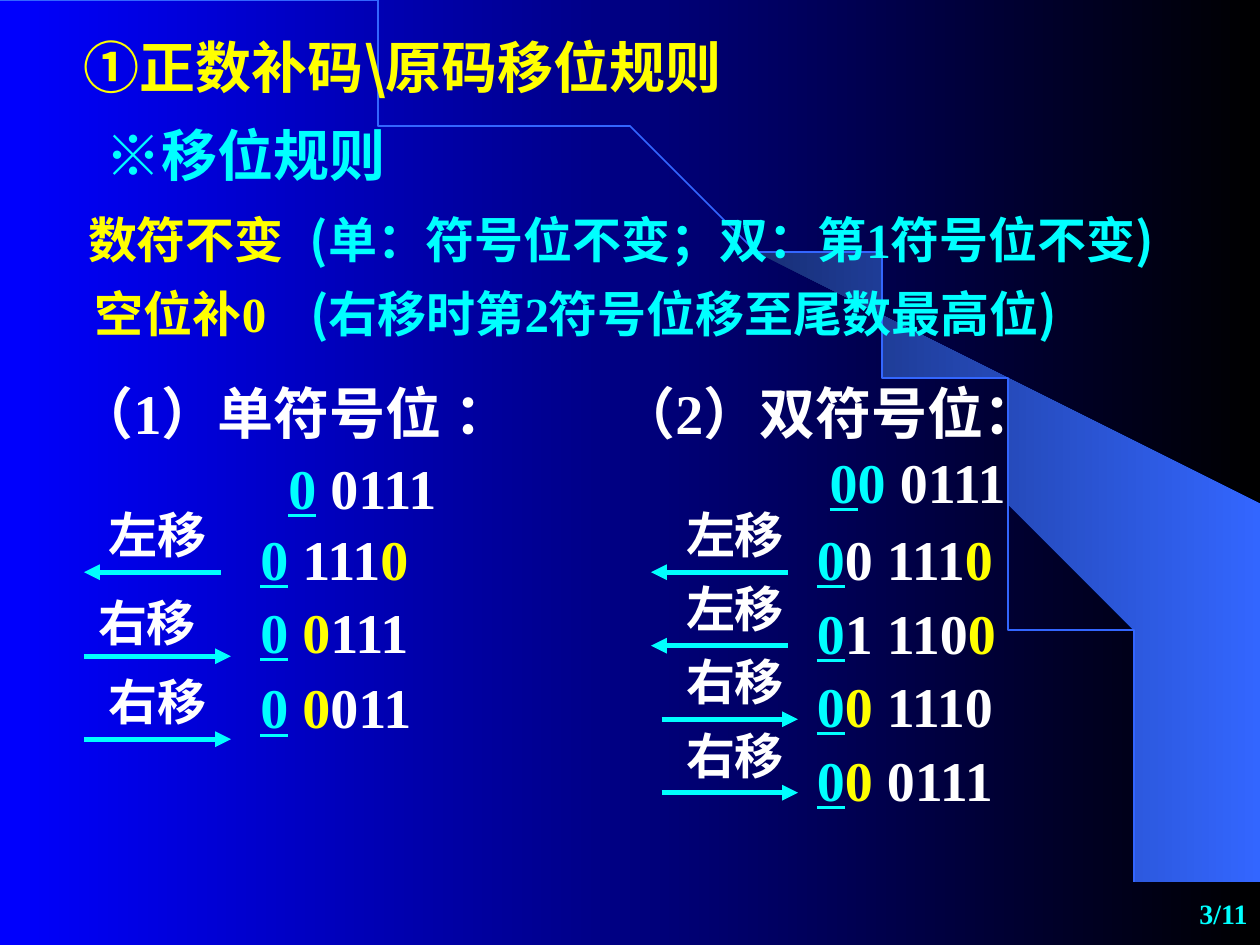
import typing

import pptx
import pptx.dml.color
import pptx.enum.shapes
import pptx.enum.text
import pptx.oxml.ns
import pptx.util
import lxml.etree

ALIGN = pptx.enum.text.PP_ALIGN
COLUMNS, ROWS = 120, 90
CELL = pptx.util.Inches(10) / COLUMNS
TEXT_ROWS, LABEL_ROWS, ROW_STEP = 7.7, 6.85, 7


class Theme:
    """Colours, typefaces and type sizes of the slide."""
    white, cyan, yellow = "FFFFFF", "00FFFF", "FFFF00"
    blue, black, dark, bright = "0000FF", "000000", "182F76", "3366FF"
    latin, chinese = "Times New Roman", "Noto Sans CJK SC"
    large, medium, small = 32, 28, 16
    arrow, arc = 3, 1


class Span(typing.NamedTuple):
    """A stretch of text with whatever differs from its paragraph."""
    text: str
    color: str = None
    underline: bool = None
    face: str = None


def grid(*cells):
    """Convert grid cells to lengths."""
    return [pptx.util.Emu(round(cell * CELL)) for cell in cells]


def rgb(color):
    """Turn a hexadecimal string into a colour."""
    return pptx.dml.color.RGBColor.from_string(color)


def fill_gradient(fill, first, last):
    """Fill with a left-to-right gradient."""
    fill.gradient()
    fill.gradient_angle = 0
    for stop, color, position in zip(fill.gradient_stops, (first, last), (0, 1)):
        stop.color.rgb = rgb(color)
        stop.position = position


def add_text(slide, place, spans, color, size=Theme.large, face=Theme.latin,
             align=ALIGN.CENTER, indent=0, end=0, middle=False):
    """Add a one-paragraph box of spans at a place on the grid."""
    box = slide.shapes.add_textbox(*grid(*place))
    frame = box.text_frame
    frame.word_wrap = True
    frame.margin_left += pptx.util.Inches(indent)
    frame.margin_right += pptx.util.Inches(end)
    if middle:
        frame.vertical_anchor = pptx.enum.text.MSO_ANCHOR.MIDDLE
    else:
        frame.auto_size = pptx.enum.text.MSO_AUTO_SIZE.SHAPE_TO_FIT_TEXT
    para = frame.paragraphs[0]
    para.alignment = align
    font = para.font
    font.name, font.size, font.bold = face, pptx.util.Pt(size), True
    font.color.rgb = rgb(color)
    defaults = para._p.get_or_add_pPr().get_or_add_defRPr()
    lxml.etree.SubElement(defaults, pptx.oxml.ns.qn("a:ea"), typeface=Theme.chinese)
    for span in spans:
        run = para.add_run()
        run.text = span.text
        if span.color:
            run.font.color.rgb = rgb(span.color)
        if span.underline:
            run.font.underline = True
        if span.face:
            run.font.name = span.face


def add_number(slide, place, *spans, align=ALIGN.LEFT, indent=0.05):
    """Add a binary number whose leading sign bit is underlined."""
    sign = Span("0", Theme.cyan, True)
    add_text(slide, place, [sign, *spans], Theme.white, align=align, indent=indent)


def add_note(slide, place, text):
    """Add a cyan remark in parentheses."""
    spans = [Span("(", face=Theme.chinese), Span(text), Span(")", face=Theme.chinese)]
    add_text(slide, place, spans, Theme.cyan, Theme.medium)


def add_shift(slide, label, label_at, line_at, width):
    """Add a shift label over an arrow pointing in its direction."""
    add_text(slide, (*label_at, 14, LABEL_ROWS), [Span(label)], Theme.white, Theme.medium)
    left, top = line_at
    arrow = slide.shapes.add_connector(
        pptx.enum.shapes.MSO_CONNECTOR.STRAIGHT, *grid(left, top, left + width, top))
    arrow.line.color.rgb = rgb(Theme.cyan)
    arrow.line.width = pptx.util.Pt(Theme.arrow)
    end = "a:headEnd" if label == "左移" else "a:tailEnd"
    qualify = pptx.oxml.ns.qn
    lxml.etree.SubElement(arrow.line._get_or_add_ln(), qualify(end), type="triangle")
    lxml.etree.SubElement(arrow._element.spPr, qualify("a:effectLst"))


def add_outline(slide, points, close):
    """Add a freeform through points given in inches."""
    builder = slide.shapes.build_freeform(*points[0], scale=pptx.util.Inches(1))
    builder.add_line_segments(points[1:], close=close)
    shape = builder.convert_to_shape()
    shape.shadow.inherit = False
    return shape


def add_backdrop(slide):
    """Paint the gradient, the bright wedge and the thin arc."""
    fill_gradient(slide.background.fill, Theme.blue, Theme.black)
    wedge = add_outline(slide, [
        (9.2, 7.48), (9.99, 7.49), (9.99, 4.23), (5.89, 1.73), (6.24, 1.99),
        (6.53, 2.22), (6.85, 2.5), (7.16, 2.8), (7.62, 3.3), (8.03, 3.84),
        (8.32, 4.31), (8.58, 4.79), (8.78, 5.28), (8.93, 5.72), (9.03, 6.09),
        (9.13, 6.56), (9.17, 6.96)], True)
    fill_gradient(wedge.fill, Theme.dark, Theme.bright)
    wedge.line.fill.background()
    steps = [step / 60 for step in range(61)]
    curve = [(3 * t * (1 - t) ** 2 * 5.08 + (3 * t * t * (1 - t) + t ** 3) * 9.2,
              3 * t * t * (1 - t) * 3.35 + t ** 3 * 7.49) for t in steps]
    arc = add_outline(slide, curve, False)
    arc.fill.background()
    arc.line.color.rgb = rgb(Theme.bright)
    arc.line.width = pptx.util.Pt(Theme.arc)


def add_rules(slide):
    """Add the title and the two shift rules."""
    add_text(slide, (6.8, 2.5, 80.5, TEXT_ROWS), [Span("①正数补码\\原码移位规则")],
             Theme.yellow, face=Theme.chinese, align=ALIGN.LEFT)
    add_text(slide, (4, 10.9, 38.8, TEXT_ROWS), [Span("※移位规则")],
             Theme.cyan, face=Theme.chinese)
    add_text(slide, (4.2, 19.4, 27, LABEL_ROWS), [Span("数符不变")],
             Theme.yellow, Theme.medium)
    add_note(slide, (23.75, 19.4, 91.9, LABEL_ROWS), "单：符号位不变；双：第1符号位不变")
    add_text(slide, (4.2, 26.4, 26, LABEL_ROWS), [Span("空位补0")],
             Theme.yellow, Theme.medium)
    add_note(slide, (23.5, 26.4, 83.2, LABEL_ROWS), "右移时第2符号位移至尾数最高位")


def add_single_sign(slide):
    """Add the worked example with one sign bit."""
    filled = Span("0", Theme.yellow)
    add_text(slide, (0.5, 35.5, 59, TEXT_ROWS), [Span("（1）单符号位 ：")],
             Theme.white, end=0.33)
    add_number(slide, (22.5, 42.6, 24, TEXT_ROWS), Span(" 0111"),
               align=ALIGN.CENTER, indent=0)
    examples = [
        ("左移", (8, 47.5), 54.5, 13, 49.4, [Span(" 111"), filled]),
        ("右移", (7, 55.8), 62.5, 14, 56.3, [Span(" "), filled, Span("111")]),
        ("右移", (8, 63.4), 70.4, 14, 63.5, [Span(" "), filled, Span("011")]),
    ]
    for label, label_at, line_top, width, top, spans in examples:
        add_shift(slide, label, label_at, (8, line_top), width)
        add_number(slide, (23, top, 23, TEXT_ROWS), *spans)


def add_double_sign(slide):
    """Add the worked example with two sign bits."""
    filled = Span("0", Theme.yellow)
    add_text(slide, (54.5, 35.5, 49, TEXT_ROWS), [Span("（2）双符号位：")], Theme.white)
    add_number(slide, (76.4, 42, 22, TEXT_ROWS), Span("0", Theme.cyan), Span(" 0111"),
               align=ALIGN.CENTER, indent=0)
    examples = [
        ("左移", [Span("0 111"), filled]),
        ("左移", [Span("1 110"), filled]),
        ("右移", [filled, Span(" 1110")]),
        ("右移", [filled, Span(" 0111")]),
    ]
    for index, (label, spans) in enumerate(examples):
        drop = index * ROW_STEP
        line_left = 62 if label == "左移" else 63
        add_shift(slide, label, (63, 47.5 + drop), (line_left, 54.5 + drop), 13)
        add_number(slide, (76, 49.4 + drop, 23, TEXT_ROWS), *spans)


def main():
    """Build the slide and save the deck."""
    deck = pptx.Presentation()
    deck.slide_width, deck.slide_height = grid(COLUMNS, ROWS)
    slide = deck.slides.add_slide(deck.slide_layouts[6])
    add_backdrop(slide)
    add_rules(slide)
    add_single_sign(slide)
    add_double_sign(slide)
    add_text(slide, (95, 84, 25, 6), [Span("3/11")], Theme.cyan, Theme.small,
             align=ALIGN.RIGHT, middle=True)
    deck.save("out.pptx")


if __name__ == "__main__":
    main()
